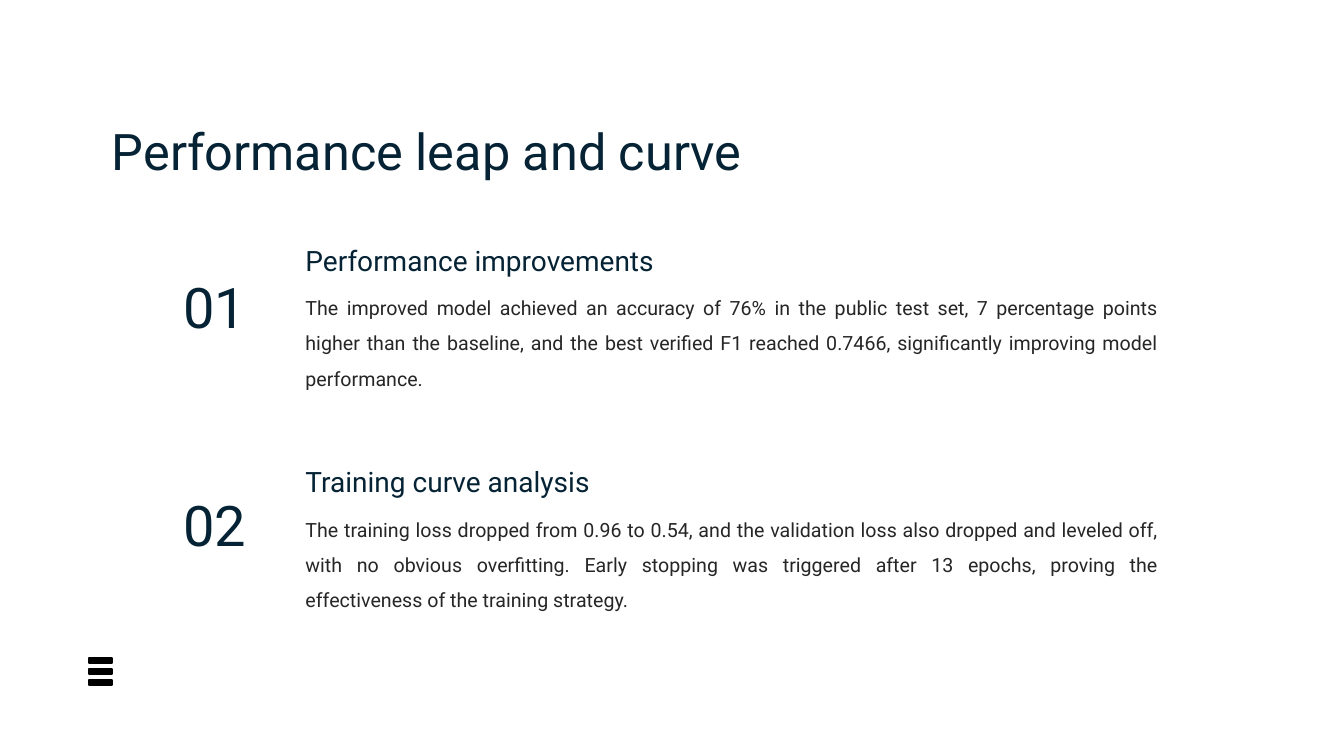
from dataclasses import dataclass

from pptx import Presentation
from pptx import util as u
from pptx.dml import color
from pptx.enum import shapes, text


@dataclass(frozen=True)
class Theme:
    font: str = "Roboto"
    navy: color.RGBColor = color.RGBColor.from_string("052334")
    body: color.RGBColor = color.RGBColor.from_string("262626")
    black: color.RGBColor = color.RGBColor.from_string("000000")
    white: color.RGBColor = color.RGBColor.from_string("FFFFFF")
    title_size: int = 36
    number_size: int = 40
    heading_size: int = 20
    body_size: int = 14


theme = Theme()

deck = Presentation()
deck.slide_width = u.Inches(13.33)
deck.slide_height = u.Inches(7.5)
page = deck.slides.add_slide(deck.slide_layouts[6])
page.background.fill.solid()
page.background.fill.fore_color.rgb = theme.white


def add_text(words, place, size, ink, align=text.PP_ALIGN.LEFT,
             anchor=text.MSO_ANCHOR.TOP, spacing=1.5):
    """Add a one-paragraph text box without margins; place is left, top, width, height."""
    box = page.shapes.add_textbox(*[u.Inches(length) for length in place])
    frame = box.text_frame
    frame.word_wrap = True
    frame.auto_size = text.MSO_AUTO_SIZE.SHAPE_TO_FIT_TEXT
    frame.vertical_anchor = anchor
    frame.margin_left = frame.margin_top = frame.margin_right = frame.margin_bottom = 0
    para = frame.paragraphs[0]
    para.alignment = align
    para.line_spacing = spacing
    span = para.add_run()
    span.text = words
    span.font.name = theme.font
    span.font.size = u.Pt(size)
    span.font.color.rgb = ink


# Title
add_text("Performance leap and curve", (1.11, 1.04, 11.65, 0.6),
         theme.title_size, theme.navy, anchor=text.MSO_ANCHOR.MIDDLE)

# Menu icon: three stacked bars
for index in range(3):
    bar = page.shapes.add_shape(
        shapes.MSO_SHAPE.RECTANGLE, u.Inches(0.88), u.Inches(6.53 + index * 0.11),
        u.Inches(0.23), u.Inches(0.05))
    bar.shadow.inherit = False
    bar.fill.solid()
    bar.fill.fore_color.rgb = theme.black
    bar.line.color.rgb = theme.black
    bar.line.width = u.Pt(1.5)

# Numbered findings: number top, heading top, heading, explanation
findings = [
    (2.7, 2.33, "Performance improvements",
     "The improved model achieved an accuracy of 76% in the public test set, "
     "7 percentage points higher than the baseline, and the best verified F1 "
     "reached 0.7466, significantly improving model performance."),
    (4.87, 4.53, "Training curve analysis",
     "The training loss dropped from 0.96 to 0.54, and the validation loss also "
     "dropped and leveled off, with no obvious overfitting. Early stopping was "
     "triggered after 13 epochs, proving the effectiveness of the training strategy."),
]
for number, (number_top, top, heading, explanation) in enumerate(findings, start=1):
    add_text(f"{number:02d}", (1.65, number_top, 0.96, 0.67), theme.number_size,
             theme.navy, align=text.PP_ALIGN.CENTER, spacing=1.0)
    add_text(heading, (3.03, top, 8.46, 0.33), theme.heading_size, theme.navy,
             anchor=text.MSO_ANCHOR.MIDDLE)
    add_text(explanation, (3.03, top + 0.49, 8.46, 0.94), theme.body_size,
             theme.body, align=text.PP_ALIGN.JUSTIFY)

deck.save("out.pptx")
